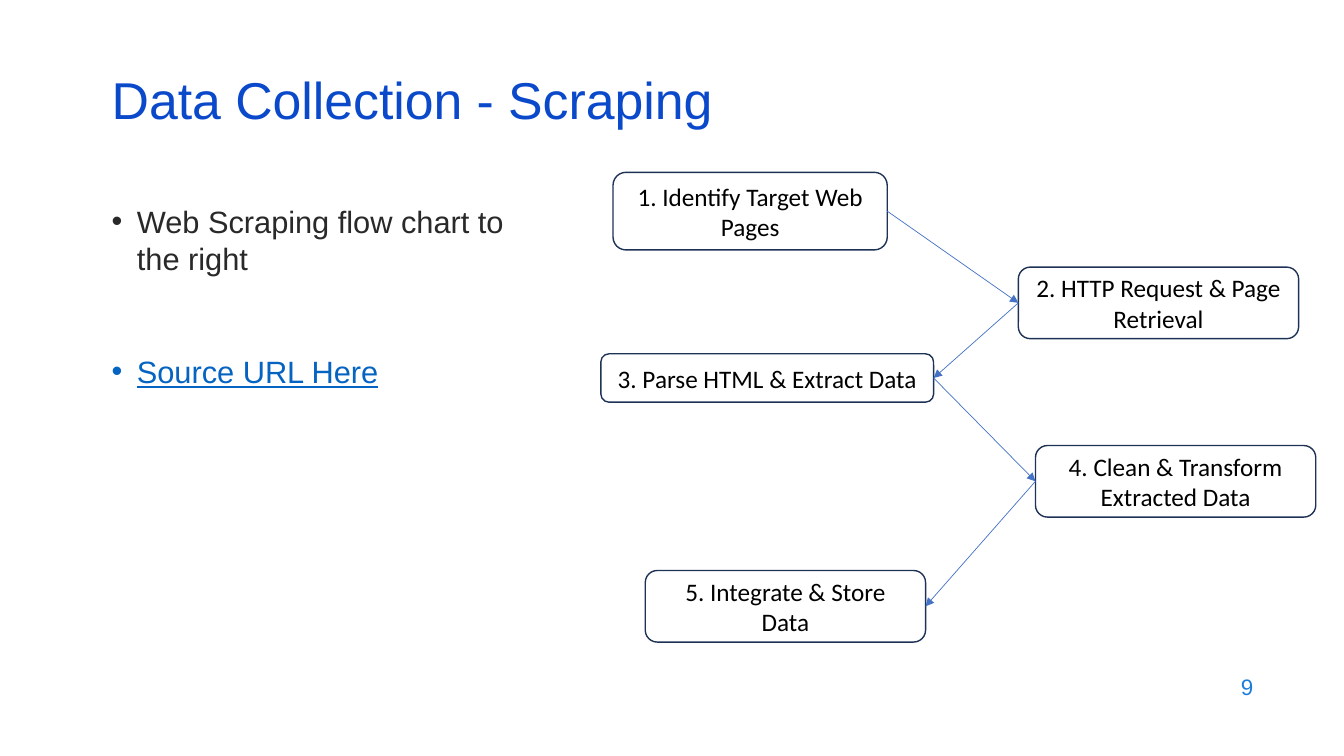
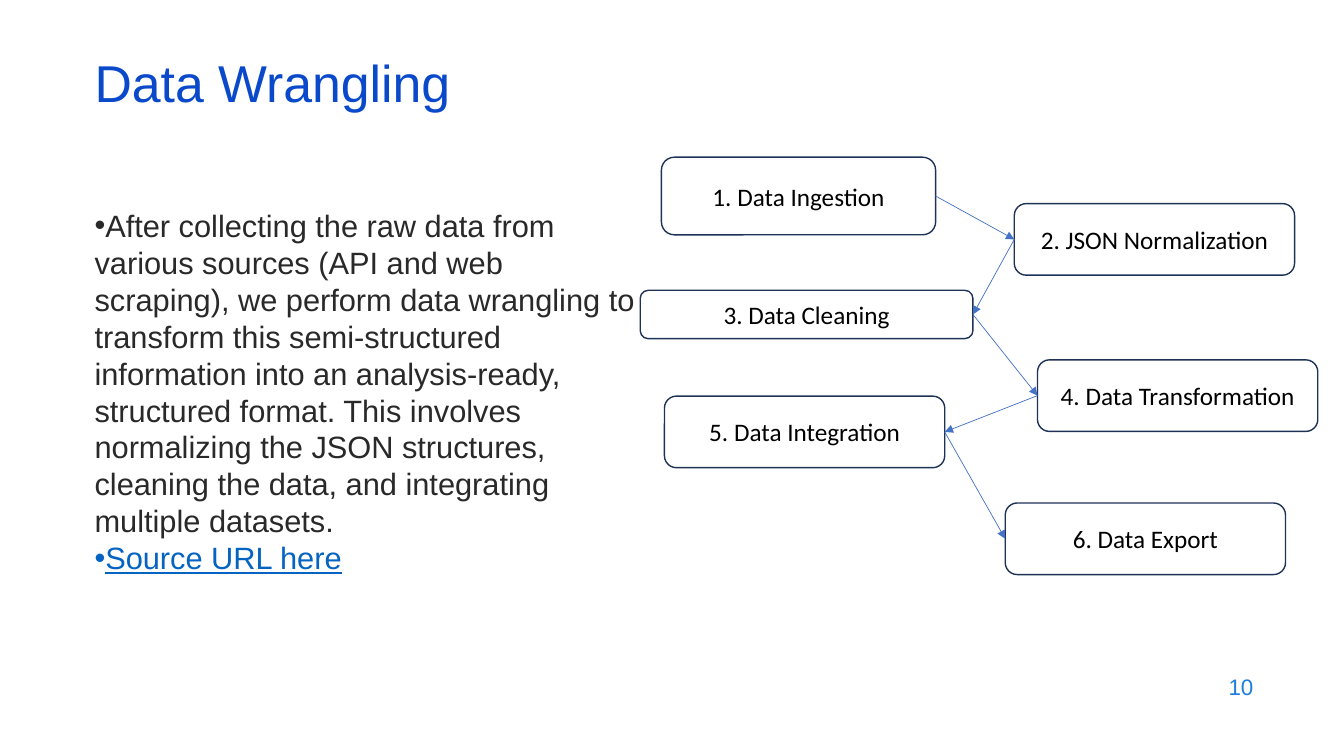
from dataclasses import dataclass
from itertools import pairwise

from lxml.etree import SubElement
from pptx import Presentation
from pptx.dml.color import RGBColor
from pptx.enum.shapes import MSO_CONNECTOR as CONN, MSO_SHAPE as SHAPE
from pptx.enum.text import MSO_ANCHOR as ANCHOR, PP_ALIGN as ALIGN
from pptx.oxml.ns import qn
from pptx.util import Inches, Pt

# Shared look
TITLE, BODY, LINK, NUMBER = "0B49CB", "292929", "0563C1", "1C7DDB"
BOX_LINE, ARROW, BOX_TEXT = "1E3256", "4472C4", "000000"
HEAD_FONT, BOX_FONT = "Arial", "Calibri"
LEFT_SITE, RIGHT_SITE = 1, 3


@dataclass(frozen=True)
class Step:
    text: str
    x: float
    y: float
    w: float = 2.78
    h: float = 0.71


@dataclass(frozen=True)
class Body:
    text: str
    link: str
    x: float
    y: float
    w: float
    h: float
    hanging: float  # inches
    gap: float  # points before the link


@dataclass(frozen=True)
class FlowSlide:
    number: int
    title: str
    title_x: float
    title_y: float
    body: Body
    steps: tuple[Step, ...]


def rgb(value: str) -> RGBColor:
    return RGBColor.from_string(value)


def style(p, size: float, color: str, font: str = HEAD_FONT) -> None:
    for r in p.runs:
        r.font.size = Pt(size)
        r.font.name = font
        r.font.color.rgb = rgb(color)


def add_text(s, x: float, y: float, w: float, h: float, anchor=ANCHOR.MIDDLE):
    tf = s.shapes.add_textbox(Inches(x), Inches(y), Inches(w), Inches(h)).text_frame
    tf.word_wrap = True
    tf.vertical_anchor = anchor
    return tf


def add_title(s, text: str, x: float, y: float) -> None:
    p = add_text(s, x, y, 11.5, 0.6).paragraphs[0]
    p.text = text
    p.line_spacing = 0.7
    style(p, 37, TITLE)


def add_number(s, number: int) -> None:
    p = add_text(s, 9.53, 6.59, 3, 0.44).paragraphs[0]
    p.text = str(number)
    p.alignment = ALIGN.RIGHT
    style(p, 16, NUMBER)


def add_bullet(p, text: str, color: str, hanging: float) -> None:
    p.text = text
    pPr = p._p.get_or_add_pPr()
    pPr.set("marL", str(Inches(hanging)))
    pPr.set("indent", str(-Inches(hanging)))
    SubElement(pPr, qn("a:buFont")).set("typeface", HEAD_FONT)
    SubElement(pPr, qn("a:buChar")).set("char", "•")
    p.line_spacing = Pt(26.4)
    style(p, 22, color)


def add_body(s, body: Body) -> None:
    tf = add_text(s, body.x, body.y, body.w, body.h, ANCHOR.TOP)
    add_bullet(tf.paragraphs[0], body.text, BODY, body.hanging)
    p = tf.add_paragraph()
    add_bullet(p, body.link, LINK, body.hanging)
    p.space_before = Pt(body.gap)
    p.runs[0].font.underline = True


def add_step(s, step: Step):
    sp = s.shapes.add_shape(SHAPE.ROUNDED_RECTANGLE, Inches(step.x), Inches(step.y),
                            Inches(step.w), Inches(step.h))
    sp.shadow.inherit = False
    sp.fill.background()
    sp.line.color.rgb = rgb(BOX_LINE)
    sp.line.width = Pt(1)
    tf = sp.text_frame
    tf.text = step.text
    tf.word_wrap = True
    tf.vertical_anchor = ANCHOR.MIDDLE
    tf.paragraphs[0].alignment = ALIGN.CENTER
    style(tf.paragraphs[0], 18, BOX_TEXT, BOX_FONT)
    return sp


def add_arrow(s, start, start_site: int, end, end_site: int) -> None:
    line = s.shapes.add_connector(CONN.STRAIGHT, 0, 0, 0, 0)
    line.begin_connect(start, start_site)
    line.end_connect(end, end_site)
    line.line.color.rgb = rgb(ARROW)
    line.line.width = Pt(0.5)
    SubElement(line.line._get_or_add_ln(), qn("a:tailEnd")).set("type", "triangle")
    SubElement(line._element.spPr, qn("a:effectLst"))


def add_flow(s, steps: tuple[Step, ...]) -> None:
    # Steps alternate between a left and a right column, joined on facing sides
    boxes = [add_step(s, step) for step in steps]
    for i, (start, end) in enumerate(pairwise(boxes)):
        sites = (RIGHT_SITE, LEFT_SITE) if i % 2 == 0 else (LEFT_SITE, RIGHT_SITE)
        add_arrow(s, start, sites[0], end, sites[1])


# Content
SLIDES = (
    FlowSlide(
        9, "Data Collection - Scraping", 1.01, 0.76,
        Body("Web Scraping flow chart to the right", "Source URL Here",
             1.01, 1.96, 4.3, 4.17, hanging=0.25, gap=54.4),
        (
            Step("1. Identify Target Web Pages", 6.08, 1.71, 2.72, 0.77),
            Step("2. HTTP Request & Page Retrieval", 10.1, 2.65),
            Step("3. Parse HTML & Extract Data", 5.96, 3.51, 3.3, 0.48),
            Step("4. Clean & Transform Extracted Data", 10.27, 4.42),
            Step("5. Integrate & Store Data", 6.4, 5.66),
        ),
    ),
    FlowSlide(
        10, "Data Wrangling", 0.84, 0.59,
        Body("After collecting the raw data from various sources (API and web "
             "scraping), we perform data wrangling to transform this "
             "semi-structured information into an analysis-ready, structured "
             "format. This involves normalizing the JSON structures, cleaning "
             "the data, and integrating multiple datasets.", "Source URL here",
             0.84, 2, 5.66, 4.76, hanging=0, gap=0),
        (
            Step("1. Data Ingestion", 6.56, 1.56, 2.72, 0.77),
            Step("2. JSON Normalization", 10.06, 2.02),
            Step("3. Data Cleaning", 6.35, 2.88, 3.3, 0.48),
            Step("4. Data Transformation", 10.29, 3.57),
            Step("5. Data Integration", 6.59, 3.93),
            Step("6. Data Export", 9.97, 4.99),
        ),
    ),
)


def main() -> None:
    prs = Presentation()
    prs.slide_width, prs.slide_height = Inches(13.33), Inches(7.5)
    for flow in SLIDES:
        s = prs.slides.add_slide(prs.slide_layouts[6])
        add_number(s, flow.number)
        add_body(s, flow.body)
        add_title(s, flow.title, flow.title_x, flow.title_y)
        add_flow(s, flow.steps)
    prs.save("out.pptx")


if __name__ == "__main__":
    main()
